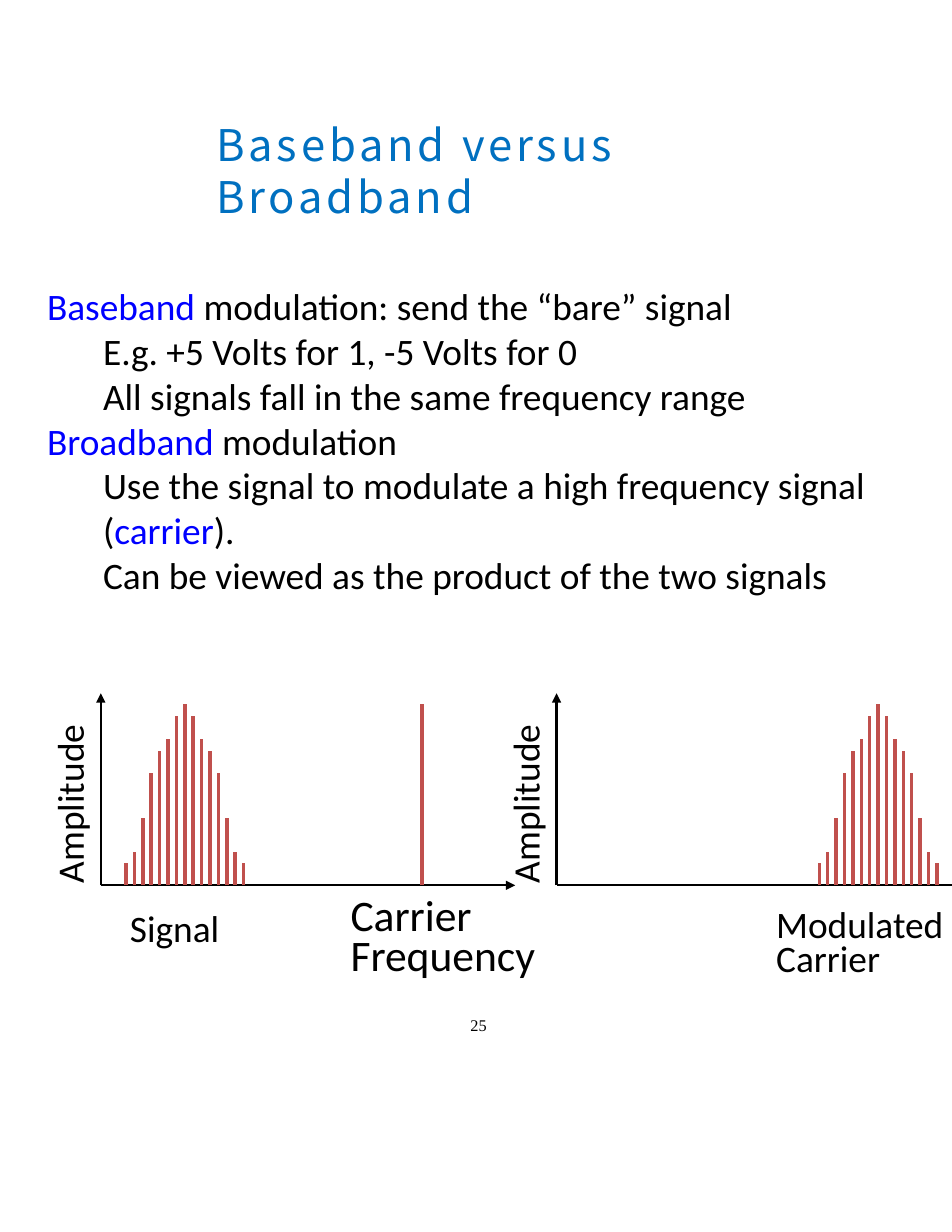
from lxml import etree
from pptx import Presentation
from pptx.dml.color import RGBColor
from pptx.enum.shapes import MSO_CONNECTOR
from pptx.enum.text import MSO_ANCHOR, MSO_AUTO_SIZE, PP_ALIGN
from pptx.oxml.ns import qn
from pptx.util import Inches, Pt

STRAIGHT = MSO_CONNECTOR.STRAIGHT
TOP = MSO_ANCHOR.TOP
GROW = MSO_AUTO_SIZE.SHAPE_TO_FIT_TEXT
LEFT = PP_ALIGN.LEFT
COLORS = {"text": "000000", "term": "0000FF", "title": "0070C0", "bar": "C0504D"}

presentation = Presentation()
presentation.slide_width, presentation.slide_height = Inches(8.5), Inches(11)
slide = presentation.slides.add_slide(presentation.slide_layouts[5])

# Grid of 34 columns by 44 rows, with square cells
CELL = presentation.slide_width / 34


def write(text, box, shape=None, size=24, font="Calibri", color="text", wrap=True,
          margins=(0, 0), line_spacing=None, tracking=None, rotation=0):
    """Write lines into a box; a tab indents a line, asterisks enclose a term."""
    left, top, width, height = (round(value * CELL) for value in box)
    if shape is None:
        shape = slide.shapes.add_textbox(left, top, width, height)
    shape.left, shape.top, shape.width, shape.height = left, top, width, height
    shape.rotation = rotation
    frame = shape.text_frame
    frame.word_wrap, frame.auto_size, frame.vertical_anchor = wrap, GROW, TOP
    frame.margin_left = frame.margin_right = Inches(margins[0])
    frame.margin_top = frame.margin_bottom = Inches(margins[1])
    for index, line in enumerate(text.split("\n")):
        paragraph = frame.add_paragraph() if index else frame.paragraphs[0]
        paragraph.alignment = LEFT
        if line_spacing:
            paragraph.line_spacing = line_spacing
        if line.startswith("\t"):
            paragraph.level = 1
            properties = paragraph._p.get_or_add_pPr()
            properties.set("marL", str(Inches(0.5)))
            properties.set("indent", "0")
        for part, words in enumerate(line.strip("\t").split("*")):
            if not words:
                continue
            run = paragraph.add_run()
            run.text = words
            run.font.size, run.font.name = Pt(size), font
            run.font.color.rgb = RGBColor.from_string(COLORS["term" if part % 2 else color])
            if tracking:
                run.font._element.set("spc", str(round(tracking * 100)))


def draw_line(start, end, color, width, arrow=False):
    """Draw a straight line between two grid points."""
    ends = [round(value * CELL) for value in (*start, *end)]
    line = slide.shapes.add_connector(STRAIGHT, *ends)
    line.line.color.rgb = RGBColor.from_string(COLORS[color])
    line.line.width = Pt(width)
    if arrow:
        etree.SubElement(line.line._get_or_add_ln(), qn("a:tailEnd"), type="triangle")
    etree.SubElement(line._element.spPr, qn("a:effectLst"))


# Title
write("Baseband versus Broadband", (7.72, 4.2, 21.8, 1.88), shape=slide.shapes.title,
      size=28, font="Noto Sans CJK TC", color="title", tracking=2.5)

# Body text
write("*Baseband* modulation: send the “bare” signal\n"
      "\tE.g. +5 Volts for 1, -5 Volts for 0\n"
      "\tAll signals fall in the same frequency range\n"
      "*Broadband* modulation\n"
      "\tUse the signal to modulate a high frequency signal (*carrier*).\n"
      "\tCan be viewed as the product of the two signals",
      (1.68, 10.12, 30.6, 12.52))

# Two spectra: axes, axis title and a symmetric group of bars
BASE = 31.62
BAR_GAP = 0.3
PEAK = 6.48
RISING = [0.8, 1.2, 2.4, 4, 4.8, 5.24, 6.04]
BAR_HEIGHTS = RISING + [PEAK] + RISING[::-1]
LABEL = {"wrap": False, "margins": (0.08, 0.04)}

for axis, center in ((3.6, 6.6), (19.88, 31.36)):
    draw_line((axis, BASE), (axis + 14.8, BASE), "text", 1.5, arrow=True)
    draw_line((axis, BASE), (axis, 24.76), "text", 1.5, arrow=True)
    write("Amplitude", (axis - 4.32, 27.68, 6.4, 1.96), rotation=270, **LABEL)
    for index, height in enumerate(BAR_HEIGHTS):
        x = center + (index - len(RISING)) * BAR_GAP
        draw_line((x, BASE), (x, BASE - height), "bar", 2.25)

# Carrier frequency, alone and at the middle of the modulated signal
for x in (15.08, 31.36):
    draw_line((x, BASE), (x, BASE - PEAK), "bar", 2.25)

# Labels below the spectra
write("Signal", (4.32, 32.16, 3.92, 1.96), **LABEL)
write("Carrier\nFrequency", (12.2, 32, 7.36, 3.24), size=28, line_spacing=0.75, **LABEL)
write("Modulated\nCarrier", (27.4, 32.4, 6.72, 2.76), line_spacing=0.75, **LABEL)

# Page number
write("25", (16.8, 36.24, 0.84, 0.72), size=10.5, font="Times New Roman")

presentation.save("out.pptx")
